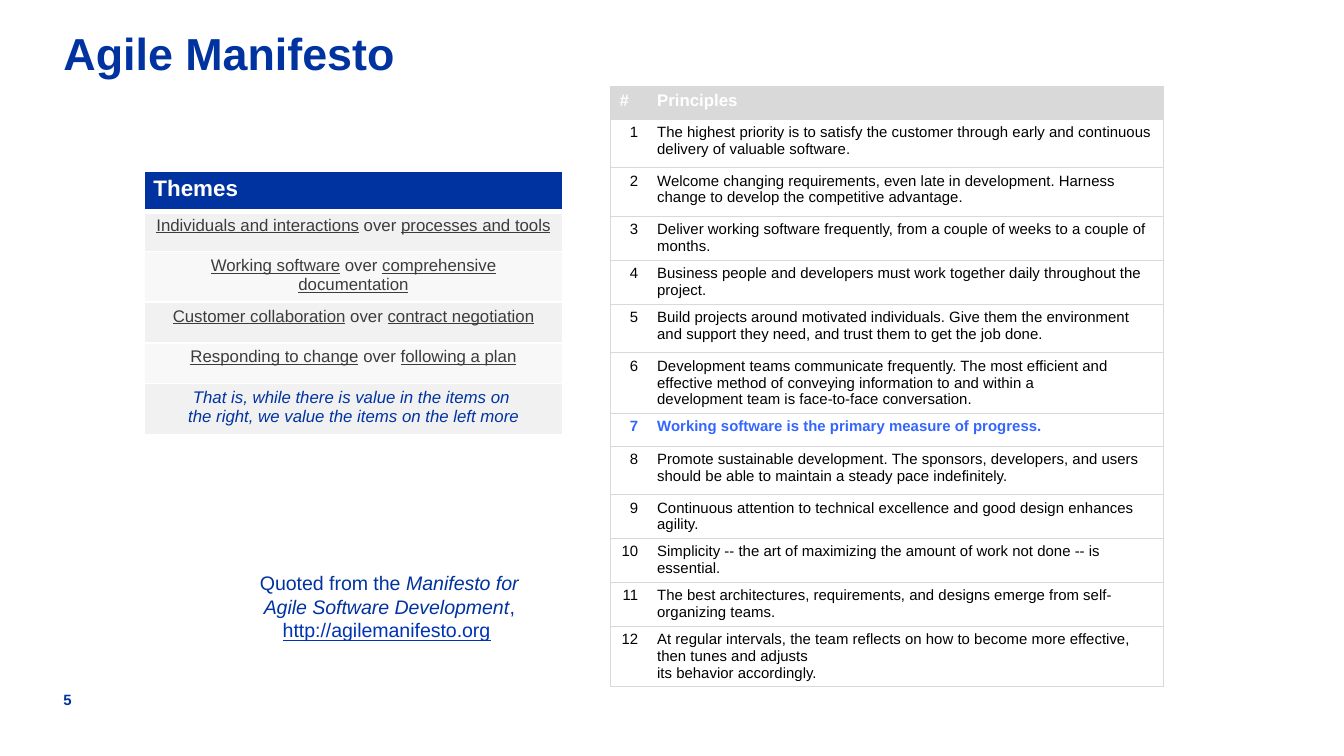
from lxml import etree
from pptx import Presentation
from pptx.dml.color import RGBColor
from pptx.enum.text import MSO_ANCHOR, MSO_AUTO_SIZE, PP_ALIGN
from pptx.oxml.ns import qn
from pptx.util import Cm, Pt

LEFT, CENTER, RIGHT = PP_ALIGN.LEFT, PP_ALIGN.CENTER, PP_ALIGN.RIGHT
TOP, BOTTOM = MSO_ANCHOR.TOP, MSO_ANCHOR.BOTTOM
NO_AUTOFIT = MSO_AUTO_SIZE.NONE
NO_BREAK_SPACE = chr(160)  # typed as ~ in the texts below

COLORS = {
    "navy": "0033A0", "link": "0033B4", "highlight": "3366FF",
    "white": "FFFFFF", "black": "000000", "text": "3C3C3C",
    "grid": "D9D9D9", "band": "F1F1F1", "light band": "F8F8F8",
}
UNDERLINE = {"underline": True}
ITALIC = {"italic": True}


def write(frame, *runs, size, color, align=LEFT, bold=False, spacing=1.0):
    """Fill a text frame with (text, format) runs; a newline is a line break."""
    paragraph = frame.paragraphs[0]
    paragraph.alignment = align
    paragraph.line_spacing = spacing
    for text, style in runs:
        for index, line in enumerate(text.replace("~", NO_BREAK_SPACE).split("\n")):
            if index:
                paragraph.add_line_break()
            run = paragraph.add_run()
            run.text = line
            font = run.font
            font.name, font.size, font.bold = "Arial", Pt(size), bold
            font.italic = style.get("italic", False)
            font.underline = style.get("underline", False)
            font.color.rgb = RGBColor.from_string(COLORS[style.get("color", color)])


def style_cell(cell, fill, edges):
    """Set margins, fill and the (width, colour) or None of left, right, top, bottom."""
    cell.margin_left = cell.margin_right = Cm(0.18)
    cell.margin_top = cell.margin_bottom = Cm(0.09)
    if fill:
        cell.fill.solid()
        cell.fill.fore_color.rgb = RGBColor.from_string(COLORS[fill])
    else:
        cell.fill.background()
    properties = cell._tc.get_or_add_tcPr()
    for index, (tag, edge) in enumerate(zip(("lnL", "lnR", "lnT", "lnB"), edges)):
        line = etree.Element(qn(f"a:{tag}"))
        properties.insert(index, line)
        if edge:
            line.set("w", str(Pt(edge[0])))
            solid = etree.SubElement(line, qn("a:solidFill"))
            etree.SubElement(solid, qn("a:srgbClr")).set("val", COLORS[edge[1]])
        else:
            etree.SubElement(line, qn("a:noFill"))


presentation = Presentation()
presentation.slide_width, presentation.slide_height = Cm(25.4), Cm(14.29)
slide = presentation.slides.add_slide(presentation.slide_layouts[5])
shapes = slide.shapes

# Title, page number and source of the quotation
title = shapes.title
title.left, title.top, title.width, title.height = Cm(1.2), Cm(0.61), Cm(24.2), Cm(1.04)
page_number = shapes.add_textbox(Cm(1.2), Cm(13.07), Cm(0.64), Cm(0.33))
quotation = shapes.add_textbox(Cm(4.3), Cm(10.67), Cm(6.12), Cm(1.6))
for box, side, end, anchor in ((title, 0, 0, TOP), (page_number, 0, 0, BOTTOM),
                               (quotation, 0.25, 0.13, TOP)):
    frame = box.text_frame
    frame.word_wrap = True
    frame.auto_size = NO_AUTOFIT
    frame.vertical_anchor = anchor
    frame.margin_left = frame.margin_right = Cm(side)
    frame.margin_top = frame.margin_bottom = Cm(end)
write(title.text_frame, ("Agile Manifesto", {}), size=24, color="navy", bold=True,
      spacing=0.9)
write(page_number.text_frame, ("5", {}), size=8, color="navy", bold=True)
write(quotation.text_frame, ("Quoted from the ", {}),
      ("Manifesto for Agile Software Development", ITALIC), (", ", {}),
      ("http://agilemanifesto.org", {"underline": True, "color": "link"}), (" ", {}),
      size=10.5, color="navy", align=CENTER)

# Principles: text and row height
HEADER, ONE_LINE, TIGHT, TWO_LINES, THREE_LINES = 0.62, 0.62, 0.83, 0.92, 1.14
KEY_PRINCIPLE = 7
principles = [
    ("Principles", HEADER),
    ("The highest priority is to satisfy the customer through early and continuous delivery of valuable software.", TWO_LINES),
    ("Welcome changing requirements, even late in~development. Harness change to develop the competitive advantage.", TWO_LINES),
    ("Deliver working software frequently, from a couple of weeks to a couple of months.", TIGHT),
    ("Business people and developers must work together daily throughout the project.", TIGHT),
    ("Build projects around motivated individuals.~Give them the environment and support they need,~and trust them to get the job done.", TWO_LINES),
    ("Development teams communicate frequently. The most efficient and effective method of~conveying information to and within a development~team is face-to-face conversation.", THREE_LINES),
    ("Working software is the primary measure of progress.", ONE_LINE),
    ("Promote sustainable development.~The sponsors, developers, and users should be able~to maintain a steady pace indefinitely.", TWO_LINES),
    ("Continuous attention to technical excellence~and good design enhances agility.", TIGHT),
    ("Simplicity -- the art of maximizing the amount~of work not done -- is essential.", TIGHT),
    ("The best architectures, requirements, and designs~emerge from self-organizing teams.", TIGHT),
    ("At regular intervals, the team reflects on how~to become more effective, then tunes and adjusts~\nits behavior accordingly.", THREE_LINES),
]
GRID = (0.5, "grid")
principles_table = shapes.add_table(
    len(principles), 2, Cm(11.53), Cm(1.63), Cm(10.46),
    Cm(sum(height for _, height in principles))).table
principles_table.columns[0].width = Cm(0.71)
principles_table.columns[1].width = Cm(9.75)
for number, (principle, height) in enumerate(principles):
    principles_table.rows[number].height = Cm(height)
    is_header = number == 0
    is_key = number == KEY_PRINCIPLE
    color = "white" if is_header else "highlight" if is_key else "black"
    number_cell, principle_cell = principles_table.rows[number].cells
    for cell, text, align, edges in (
            (number_cell, str(number or "#"), LEFT if is_header else RIGHT,
             (GRID, None, GRID, GRID)),
            (principle_cell, principle, LEFT, (None, GRID, GRID, GRID))):
        write(cell.text_frame, (text, {}), size=9 if is_header else 8, color=color,
              align=align, bold=is_header or is_key)
        style_cell(cell, "grid" if is_header else None, edges)

# Themes: what is valued more, and over what
values = [
    ("Individuals and interactions", "processes and tools"),
    ("Working software", "comprehensive documentation"),
    ("Customer collaboration", "contract negotiation"),
    ("Responding to change", "following a plan"),
]
conclusion = "That is, while there is value in the items on~\nthe right, we value the items on the left more"
theme_rows = [[("Themes", {})]]
theme_rows += [[(more, UNDERLINE), ("~over ", {}), (less, UNDERLINE)] for more, less in values]
theme_rows += [[(conclusion, {"italic": True, "color": "navy"})]]
theme_heights = [0.76, 0.76, 0.96, 0.77, 0.77, 0.96]
WHITE_LINE, HEADER_LINE = (1, "white"), (3, "white")
themes_table = shapes.add_table(
    len(theme_rows), 1, Cm(2.72), Cm(3.23), Cm(7.92), Cm(sum(theme_heights))).table
for index, (theme, height) in enumerate(zip(theme_rows, theme_heights)):
    themes_table.rows[index].height = Cm(height)
    is_header = index == 0
    cell = themes_table.cell(index, 0)
    write(cell.text_frame, *theme, size=12 if is_header else 9,
          color="white" if is_header else "text", align=LEFT if is_header else CENTER,
          bold=is_header)
    fill = "navy" if is_header else "band" if index % 2 else "light band"
    style_cell(cell, fill, (WHITE_LINE, WHITE_LINE,
                            HEADER_LINE if index == 1 else WHITE_LINE,
                            HEADER_LINE if is_header else WHITE_LINE))

presentation.save("out.pptx")
